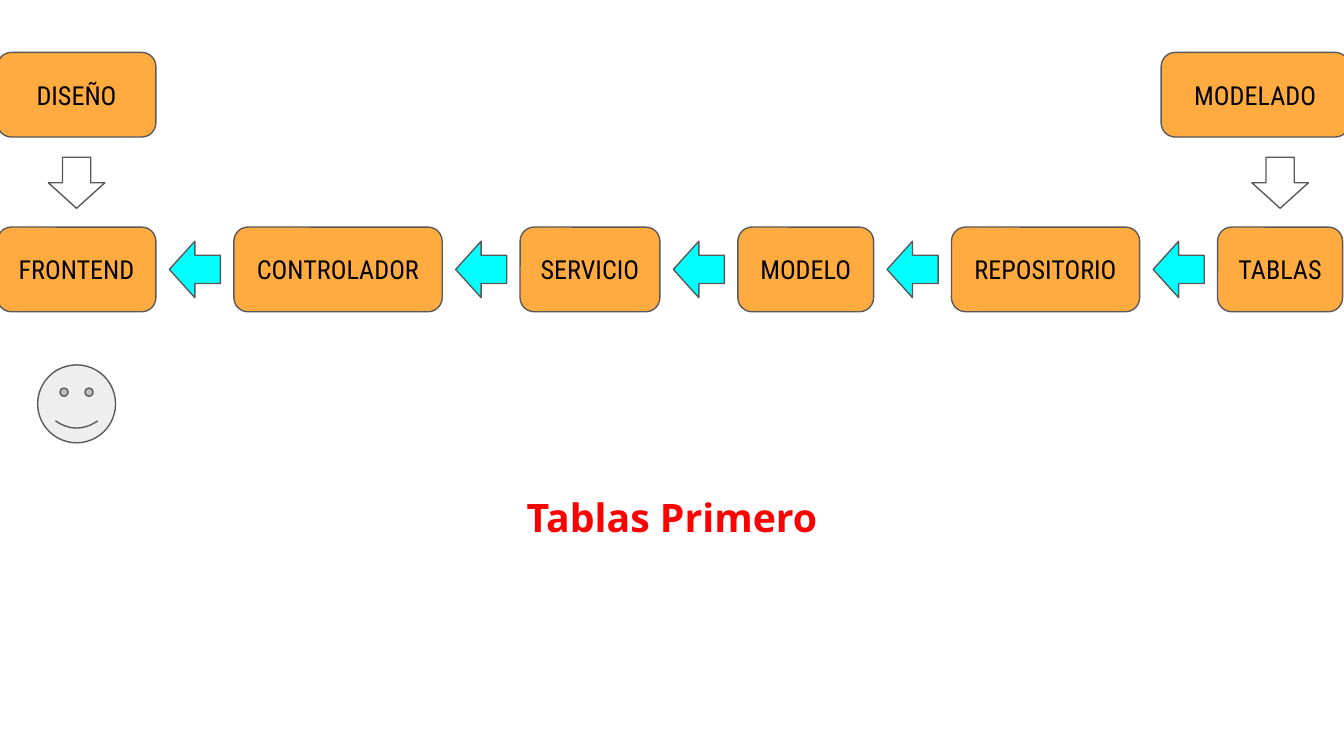
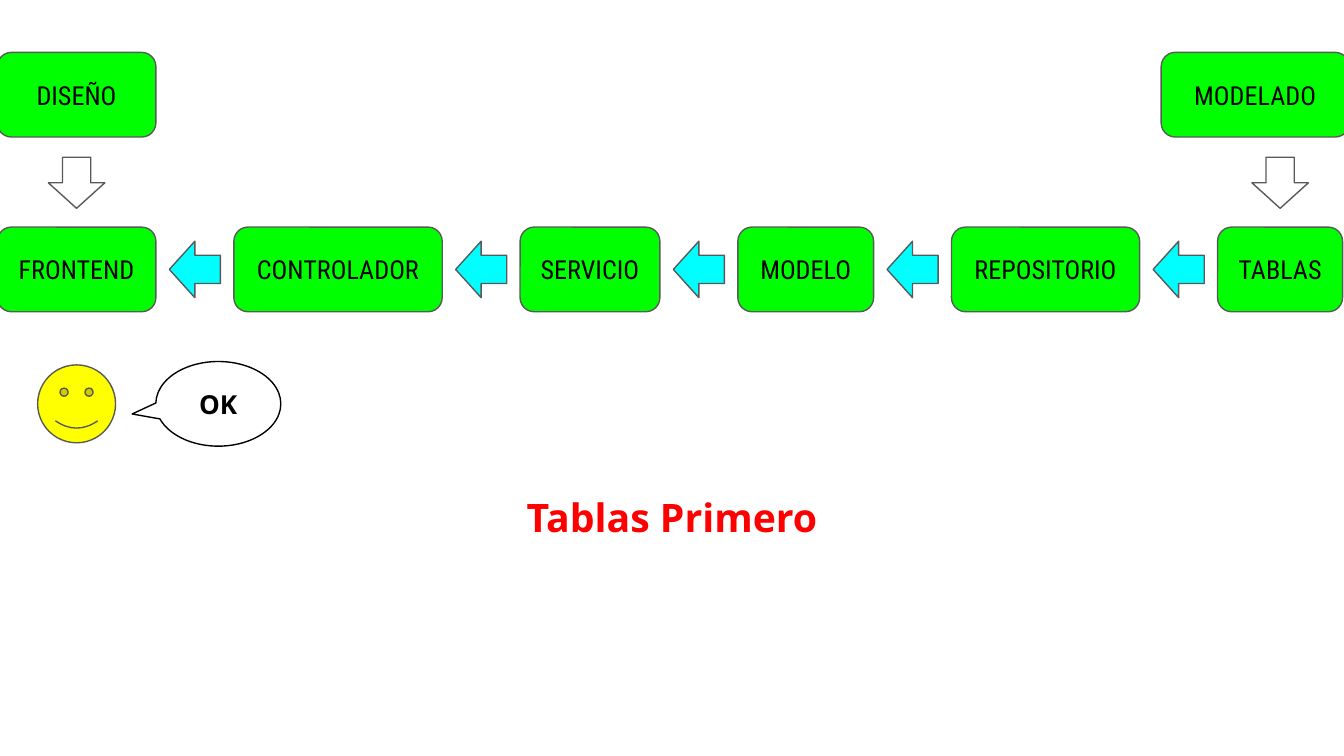
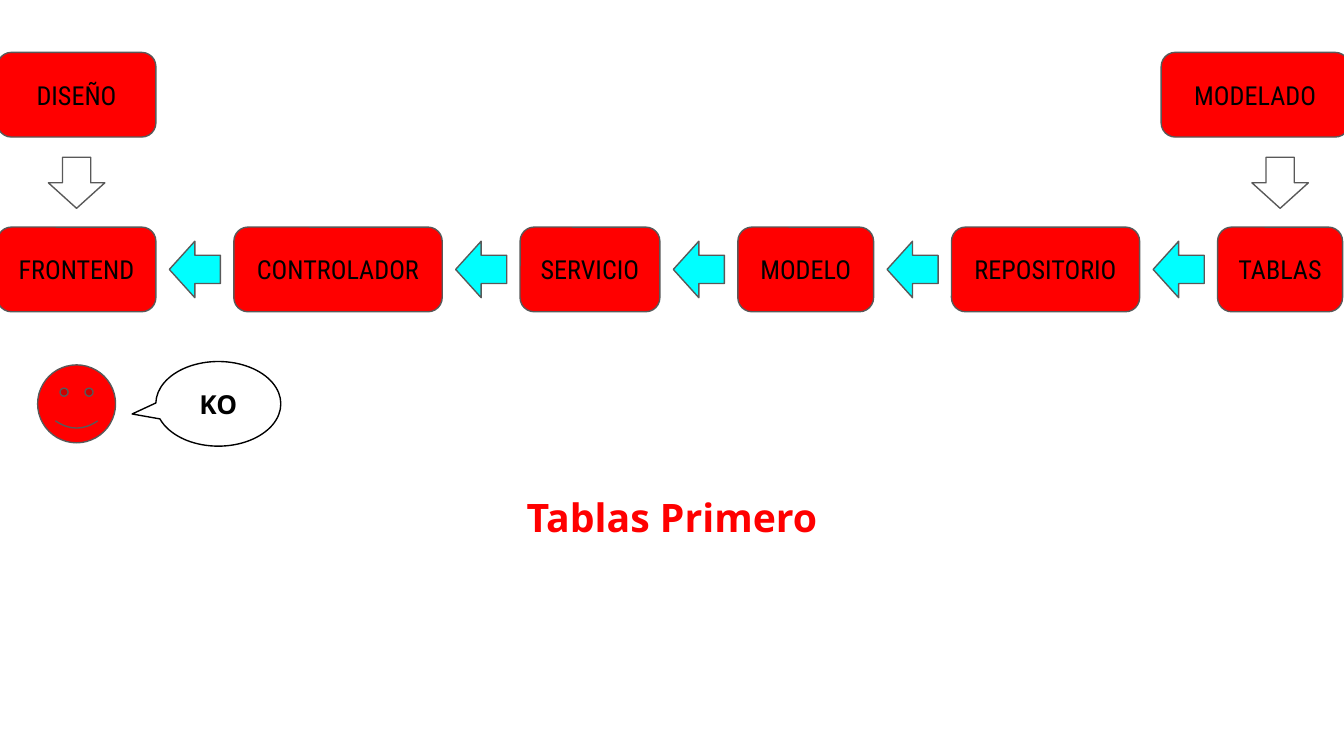
from pptx import Presentation
from pptx.dml.color import RGBColor
from pptx.enum.shapes import MSO_SHAPE
from pptx.enum.text import MSO_ANCHOR, MSO_AUTO_SIZE, PP_ALIGN
from pptx.util import Inches, Pt

BOX = MSO_SHAPE.ROUNDED_RECTANGLE
ARROW = MSO_SHAPE.LEFT_ARROW
FACE = MSO_SHAPE.SMILEY_FACE
CALLOUT = MSO_SHAPE.OVAL_CALLOUT
TOP, MIDDLE = MSO_ANCHOR.TOP, MSO_ANCHOR.MIDDLE
CENTER = PP_ALIGN.CENTER
GROW = MSO_AUTO_SIZE.SHAPE_TO_FIT_TEXT

HEX = {
    "orange": "FFAB40", "green": "00FF00", "red": "FF0000", "cyan": "00FFFF",
    "yellow": "FFFF00", "pale": "EEEEEE", "white": "FFFFFF", "grey": "595959",
    "black": "000000",
}
LABEL, HEAD = "Roboto Condensed", "Open Sans"

# Rows and columns of the grid, in inches
WIDE = 10
HIGH = WIDE * 9 / 16
ROW = {"source": 0.39, "down": 1.15, "chain": 1.69, "reply": 2.69, "title": 3.57}
LEFT, TALL, GAP, PAD = -0.02, 0.63, 0.58, 0.1
ARROW_W, ARROW_H, FACE_W = 0.38, 0.42, 0.58
REPLY_W, TITLE_W, TITLE_H = 0.93, 4.91, 0.56

CHAIN = [("FRONTEND", 1.18), ("CONTROLADOR", 1.55), ("SERVICIO", 1.04),
         ("MODELO", 1.01), ("REPOSITORIO", 1.4), ("TABLAS", 0.93)]
# Name, left, width and link of the chain that each source feeds
SOURCES = [("DISEÑO", LEFT, 1.18, 0), ("MODELADO", 8.64, 1.4, 5)]
# Colour of boxes, colour of face, reply
STATES = [("orange", "pale", None), ("green", "yellow", "OK"), ("red", "red", "KO")]


def write(shape, text, font, size, color="black", bold=False, anchor=MIDDLE):
    frame = shape.text_frame
    frame.word_wrap = True
    frame.vertical_anchor = anchor
    frame.margin_left = frame.margin_right = Inches(PAD)
    frame.margin_top = frame.margin_bottom = Inches(PAD)
    frame.text = text
    para = frame.paragraphs[0]
    para.alignment = CENTER
    para.font.name, para.font.size, para.font.bold = font, Pt(size), bold
    para.font.color.rgb = RGBColor.from_string(HEX[color])


def draw(slide, kind, x, y, w, h, fill, line="grey"):
    shape = slide.shapes.add_shape(kind, Inches(x), Inches(y), Inches(w), Inches(h))
    shape.shadow.inherit = False
    shape.fill.solid()
    shape.fill.fore_color.rgb = RGBColor.from_string(HEX[fill])
    shape.line.color.rgb = RGBColor.from_string(HEX[line])
    shape.line.width = Pt(0.75)
    return shape


deck = Presentation()
deck.slide_width, deck.slide_height = Inches(WIDE), Inches(HIGH)
layout = deck.slide_layouts.get_by_name("Title Only")

for tone, mood, reply in STATES:
    slide = deck.slides.add_slide(layout)

    title = slide.shapes.title
    title.left, title.top = Inches((WIDE - TITLE_W) / 2), Inches(ROW["title"])
    title.width, title.height = Inches(TITLE_W), Inches(TITLE_H)
    write(title, "Tablas Primero", HEAD, 21, "red", True, TOP)
    title.text_frame.auto_size = GROW

    mids = []
    x = LEFT
    for name, w in CHAIN:
        if mids:
            draw(slide, ARROW, x - GAP + PAD, ROW["chain"] + (TALL - ARROW_H) / 2,
                 ARROW_W, ARROW_H, "cyan")
        box = draw(slide, BOX, x, ROW["chain"], w, TALL, tone)
        write(box, name, LABEL, 14)
        mids.append(x + w / 2)
        x += w + GAP

    for name, x, w, link in SOURCES:
        box = draw(slide, BOX, x, ROW["source"], w, TALL, tone)
        write(box, name, LABEL, 14)
        down = draw(slide, ARROW, mids[link] - ARROW_W / 2, ROW["down"],
                    ARROW_W, ARROW_H, "white")
        down.rotation = 270

    draw(slide, FACE, mids[0] - FACE_W / 2, ROW["reply"] + (TALL - FACE_W) / 2,
         FACE_W, FACE_W, mood)
    if reply:
        bubble = draw(slide, CALLOUT, LEFT + CHAIN[0][1], ROW["reply"],
                      REPLY_W, TALL, "white", "black")
        bubble.adjustments[0], bubble.adjustments[1] = -0.69, 0.12
        write(bubble, reply, HEAD, 14, bold=True)

deck.save("out.pptx")
